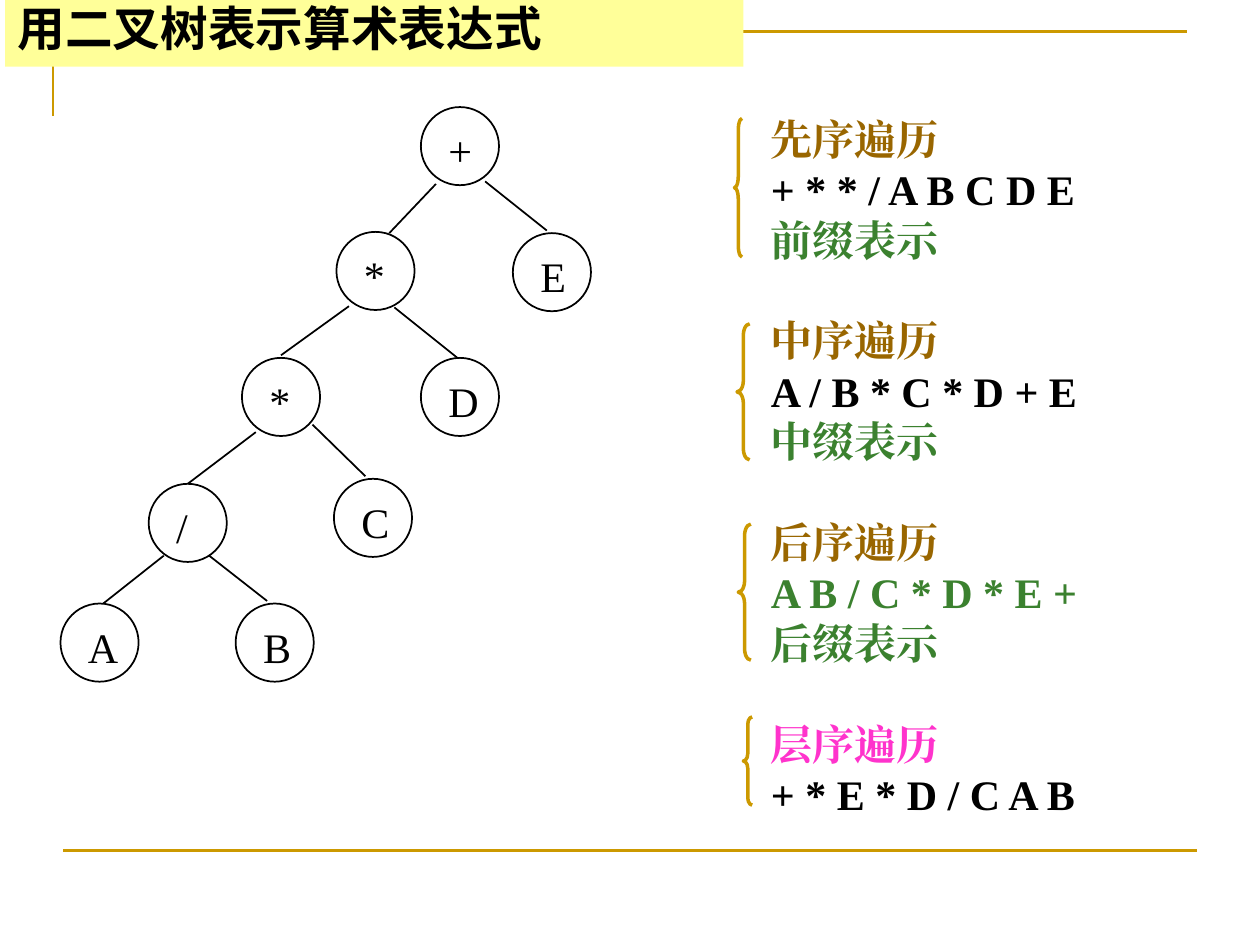
import pptx
import pptx.dml.color
import pptx.enum.shapes
import pptx.enum.text
import pptx.oxml.ns
import pptx.util
from lxml import etree
from pptx.util import Inches

SHAPE = pptx.enum.shapes.MSO_SHAPE
LATIN, CJK = "Times New Roman", "Noto Sans CJK SC"
COLORS = {"black": "000000", "gold": "CC9900", "brown": "996600",
          "green": "3B812F", "pink": "FF33CC", "yellow": "FFFF99"}
NODE_SIZE = 0.62

# label, left, top, label width
NODES = [
    ("+", 3.34, 0.85, 0.39), ("*", 2.67, 1.84, 0.37), ("E", 4.07, 1.85, 0.41),
    ("*", 1.92, 2.84, 0.37), ("D", 3.34, 2.84, 0.44), ("/", 1.18, 3.84, 0.29),
    ("C", 2.65, 3.8, 0.42), ("A", 0.48, 4.79, 0.44), ("B", 1.87, 4.79, 0.42),
]
# parent end x, y, child end x, y
EDGES = [
    (3.46, 1.46, 3.09, 1.85), (3.85, 1.44, 4.34, 1.83),
    (2.77, 2.43, 2.23, 2.82), (3.13, 2.44, 3.63, 2.84),
    (2.03, 3.43, 1.49, 3.84), (2.48, 3.37, 2.9, 3.78),
    (1.3, 4.41, 0.82, 4.79), (1.66, 4.41, 2.12, 4.77),
]
TRAVERSALS = [
    [("先序遍历", "brown"), ("+ * * / A B C D E", "black"), ("前缀表示", "green")],
    [("中序遍历", "brown"), ("A / B * C * D + E", "black"), ("中缀表示", "green")],
    [("后序遍历", "brown"), ("A B / C * D * E +", "green"), ("后缀表示", "green")],
    [("层序遍历", "pink"), ("+ * E * D / C A B", "black")],
]
# left, top, width, height
BRACES = [(5.83, 0.94, 0.06, 1.1), (5.85, 2.57, 0.1, 1.08),
          (5.86, 4.16, 0.1, 1.08), (5.9, 5.69, 0.07, 0.7)]


def rgb(name):
    return pptx.dml.color.RGBColor.from_string(COLORS[name])


def set_line(sp, color, width):
    sp.line.color.rgb = rgb(color)
    sp.line.width = pptx.util.Pt(width)


def set_font(p, size, color, bold=False, name=LATIN):
    p.font.size = pptx.util.Pt(size)
    p.font.bold = bold
    p.font.name = name
    p.font.color.rgb = rgb(color)
    for r in p.runs:
        ea = etree.SubElement(r.font._element, pptx.oxml.ns.qn("a:ea"))
        ea.set("typeface", name)


def add_line(shapes, x1, y1, x2, y2, color, width):
    cx = shapes.add_connector(pptx.enum.shapes.MSO_CONNECTOR.STRAIGHT,
                              Inches(x1), Inches(y1), Inches(x2), Inches(y2))
    set_line(cx, color, width)
    etree.SubElement(cx._element.spPr, pptx.oxml.ns.qn("a:effectLst"))


def add_outline(shapes, kind, x, y, w, h, color, width):
    """Add an unfilled preset shape."""
    sp = shapes.add_shape(kind, Inches(x), Inches(y), Inches(w), Inches(h))
    sp.shadow.inherit = False
    sp.fill.background()
    set_line(sp, color, width)
    return sp


def add_text_box(shapes, x, y, w, h):
    tf = shapes.add_textbox(Inches(x), Inches(y), Inches(w), Inches(h)).text_frame
    tf.word_wrap = False
    return tf


def add_corner(shapes):
    """Add the frame line that turns the top left corner."""
    points = [(Inches(x), Inches(y)) for x, y in [(0.42, 0.92), (0.42, 0.25), (9.42, 0.25)]]
    builder = shapes.build_freeform(*points[0])
    builder.add_line_segments(points[1:], close=False)
    sp = builder.convert_to_shape()
    sp.shadow.inherit = False
    sp.fill.background()
    set_line(sp, "gold", 1.5)


def add_node(shapes, label, x, y, label_width):
    add_outline(shapes, SHAPE.OVAL, x, y, NODE_SIZE, NODE_SIZE, "black", 1)
    tf = add_text_box(shapes, x + 0.12, y + 0.09, label_width, 0.5)
    p = tf.paragraphs[0]
    p.text = label
    set_font(p, 24, "black")


def add_tree(shapes):
    tree = shapes.add_group_shape().shapes
    for node in NODES:
        add_node(tree, *node)
    for edge in EDGES:
        add_line(tree, *edge, "black", 1)


def add_traversals(shapes):
    tf = add_text_box(shapes, 6.02, 0.85, 2.65, 5.7)
    p = tf.paragraphs[0]
    for i, block in enumerate(TRAVERSALS):
        for j, (text, color) in enumerate(block):
            if i or j:
                p = tf.add_paragraph()
            if i and not j:
                p.space_before = pptx.util.Pt(28.8)
            p.text = text
            set_font(p, 24, color, bold=True)


def add_braces(shapes):
    group = shapes.add_group_shape().shapes
    for x, y, w, h in BRACES:
        sp = add_outline(group, SHAPE.LEFT_BRACE, x, y, w, h, "gold", 2)
        sp.adjustments[0] = h / 12 / w


def add_title(shapes):
    sp = shapes.add_shape(SHAPE.RECTANGLE, Inches(0.04), Inches(-0.03),
                          Inches(5.86), Inches(0.56))
    sp.shadow.inherit = False
    sp.fill.solid()
    sp.fill.fore_color.rgb = rgb("yellow")
    sp.line.fill.background()
    tf = sp.text_frame
    tf.word_wrap = True
    tf.vertical_anchor = pptx.enum.text.MSO_ANCHOR.MIDDLE
    p = tf.paragraphs[0]
    p.text = "用二叉树表示算术表达式"
    p.alignment = pptx.enum.text.PP_ALIGN.LEFT
    p.line_spacing = 0.9
    set_font(p, 27.2, "black", bold=True, name=CJK)


def main():
    prs = pptx.Presentation()
    prs.slide_width, prs.slide_height = Inches(10), Inches(7.5)
    s = prs.slides.add_slide(prs.slide_layouts[6])
    add_corner(s.shapes)
    add_line(s.shapes, 0.5, 6.75, 9.5, 6.75, "gold", 1.5)
    add_tree(s.shapes)
    add_traversals(s.shapes)
    add_braces(s.shapes)
    add_title(s.shapes)
    prs.save("out.pptx")


if __name__ == "__main__":
    main()
